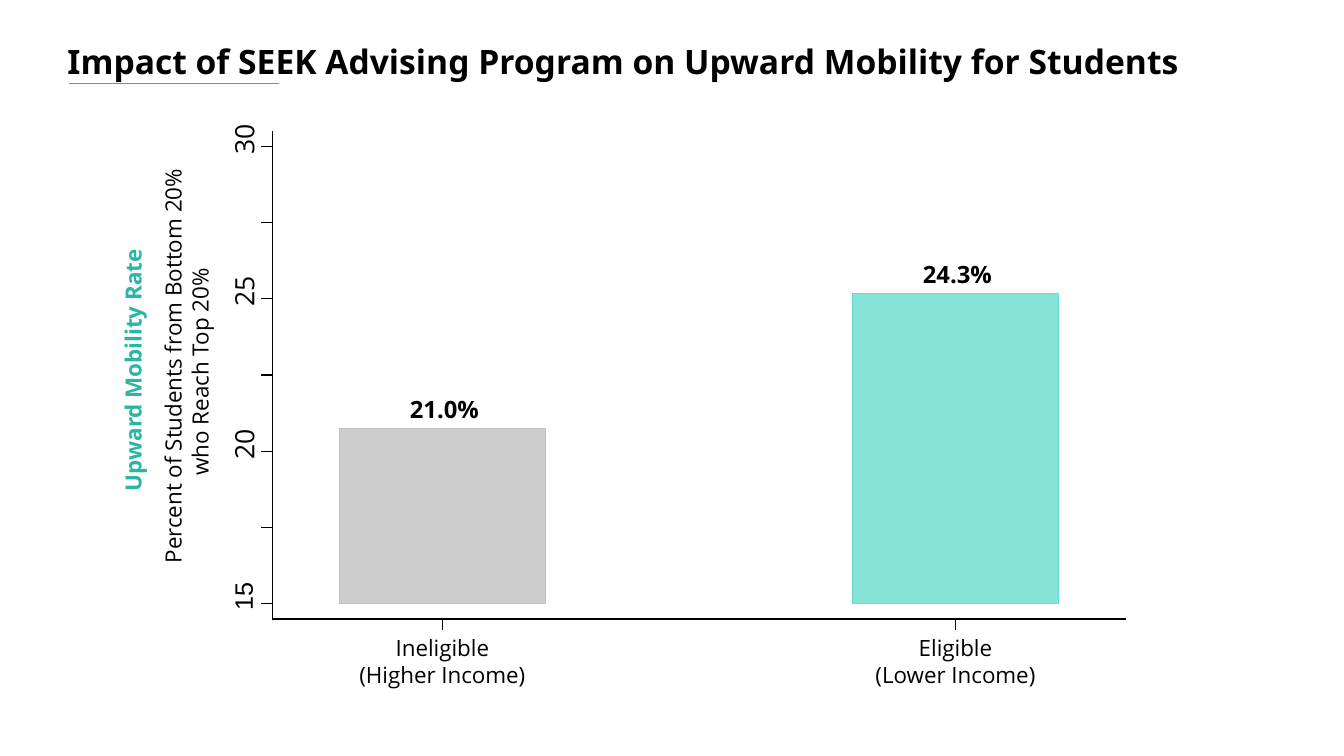
from dataclasses import dataclass
from lxml.etree import SubElement
from pptx import Presentation
from pptx.dml.color import RGBColor as Color
from pptx.enum.shapes import MSO_CONNECTOR as Connector, MSO_SHAPE as Shape
from pptx.enum.text import MSO_ANCHOR as Anchor, MSO_AUTO_SIZE as AutoSize, PP_ALIGN as Align
from pptx.oxml.ns import qn
from pptx.util import Cm, Pt


@dataclass(frozen=True)
class Theme:
    ink: Color = Color.from_string("000000")
    accent: Color = Color.from_string("29B6A4")
    grey: Color = Color.from_string("CDCDCD")
    grey_edge: Color = Color.from_string("C0C0C0")
    teal: Color = Color.from_string("85E3D8")
    teal_edge: Color = Color.from_string("66DCCE")
    title_font: str = "Noto Sans"
    body_font: str = "Open Sans"
    first_tick_font: str = "Arial"
    title_size: int = 24
    tick_size: int = 19
    first_tick_size: int = 18
    value_size: int = 17
    label_size: int = 16
    rule: float = 0.88
    thin_rule: float = 0.5


theme = Theme()


def write(box, lines, size, font=theme.body_font, color=theme.ink, bold=False, align=Align.CENTER):
    frame = box.text_frame
    frame.word_wrap = True
    frame.auto_size = AutoSize.NONE
    frame.vertical_anchor = Anchor.TOP
    frame.margin_left = frame.margin_right = frame.margin_top = frame.margin_bottom = 0
    for index, line in enumerate(lines):
        para = frame.add_paragraph() if index else frame.paragraphs[0]
        para.alignment = align
        span = para.add_run()
        span.text = line
        span.font.name = font
        span.font.size = Pt(size)
        span.font.bold = bold
        span.font.color.rgb = color


def draw_line(x1, y1, x2, y2, color=theme.ink, width=theme.rule):
    line = page.shapes.add_connector(Connector.STRAIGHT, Cm(x1), Cm(y1), Cm(x2), Cm(y2))
    line.line.color.rgb = color
    line.line.width = Pt(width)
    SubElement(line._element.spPr, qn("a:effectLst"))


deck = Presentation()
deck.slide_width, deck.slide_height = Cm(33.87), Cm(19.05)
page = deck.slides.add_slide(deck.slide_layouts[5])

title = page.shapes.title
title.left, title.top, title.width, title.height = Cm(1.7), Cm(1.04), Cm(29.16), Cm(1.02)
write(title, ["Impact of SEEK Advising Program on Upward Mobility for Students"],
      theme.title_size, theme.title_font, bold=True, align=Align.LEFT)
draw_line(1.73, 2.11, 7.04, 2.11, theme.accent, theme.thin_rule)

axis_x, axis_top, axis_y, axis_right = 6.86, 3.3, 15.6, 28.37
base_y, tick_gap, tick_length = 15.21, 1.92, 0.27
draw_line(axis_x, axis_y, axis_x, axis_top)
draw_line(axis_x, axis_y, axis_right, axis_y)

for step in range(7):
    y = base_y - step * tick_gap
    draw_line(axis_x, y, axis_x - tick_length, y)
    if step % 2 == 0:
        box = page.shapes.add_textbox(Cm(5.4), Cm(y - 0.59), Cm(1.5), Cm(0.82))
        box.rotation = 270
        first = step == 0
        write(box, [str(15 + step * 5 // 2)],
              theme.first_tick_size if first else theme.tick_size,
              theme.first_tick_font if first else theme.body_font)

bar_width, label_width, value_width = 5.18, 4.57, 3
bars = [
    (11.15, 4.42, "21.0%", ["Ineligible", "(Higher Income)"], theme.grey, theme.grey_edge),
    (24.08, 7.82, "24.3%", ["Eligible", "(Lower Income)"], theme.teal, theme.teal_edge),
]
for center, height, value, label, fill, edge in bars:
    top = base_y - height
    bar = page.shapes.add_shape(Shape.RECTANGLE, Cm(center - bar_width / 2), Cm(top),
                                Cm(bar_width), Cm(height))
    bar.shadow.inherit = False
    bar.fill.solid()
    bar.fill.fore_color.rgb = fill
    bar.line.color.rgb = edge
    bar.line.width = Pt(theme.rule)
    box = page.shapes.add_textbox(Cm(center + 0.05 - value_width / 2), Cm(top - 0.85),
                                  Cm(value_width), Cm(0.74))
    write(box, [value], theme.value_size, bold=True)
    draw_line(center, axis_y, center, axis_y + tick_length)
    box = page.shapes.add_textbox(Cm(center - label_width / 2), Cm(15.98),
                                  Cm(label_width), Cm(1.37))
    write(box, label, theme.label_size)

axis_titles = [
    (3.35, 9.23, 6.3, "Upward Mobility Rate", theme.accent, True),
    (4.36, 9.03, 10.34, "Percent of Students from Bottom 20%", theme.ink, False),
    (5.04, 9.23, 5.51, "who Reach Top 20%", theme.ink, False),
]
for x, y, width, text, color, bold in axis_titles:
    box = page.shapes.add_textbox(Cm(x - width / 2), Cm(y - 0.35), Cm(width), Cm(0.69))
    box.rotation = 270
    write(box, [text], theme.label_size, color=color, bold=bold, align=Align.LEFT)

deck.save("out.pptx")
